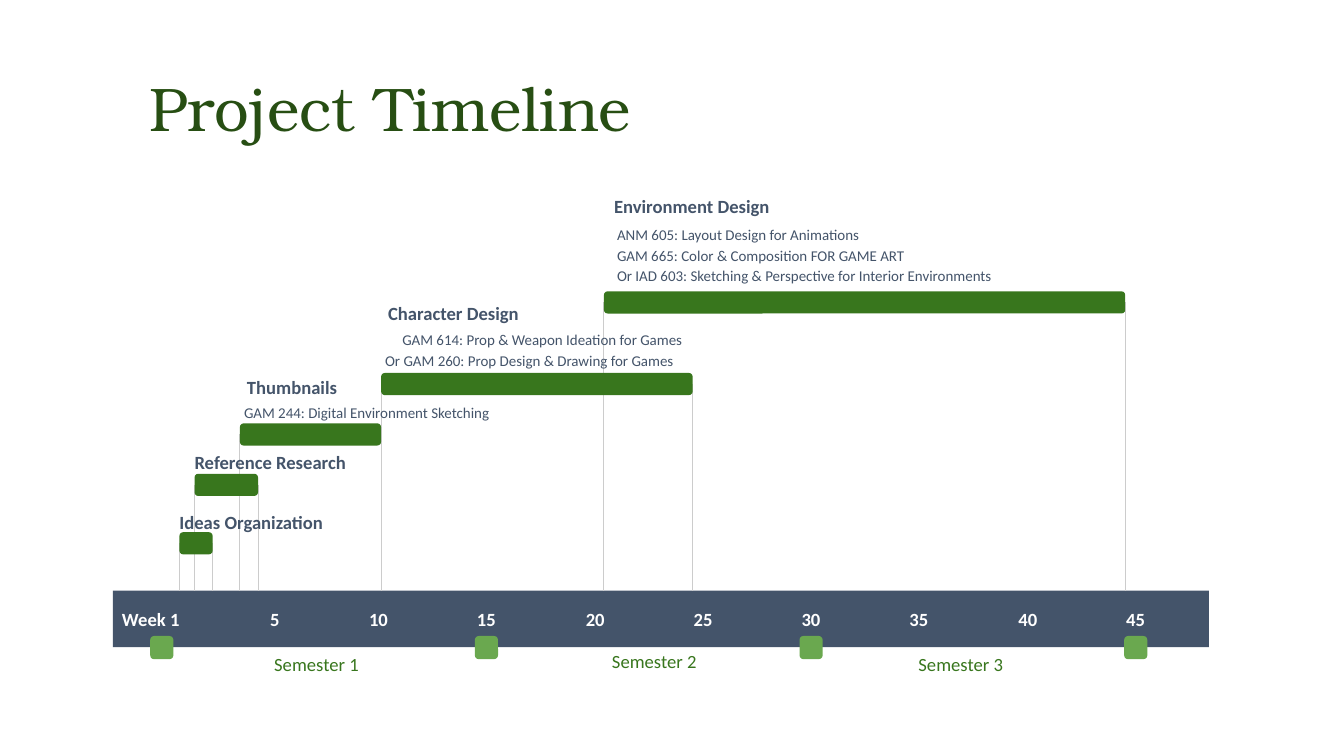
import pptx
import pptx.dml.color
import pptx.enum.shapes
import pptx.enum.text
import pptx.oxml.ns
import pptx.util
from lxml import etree

PX = 9144  # EMU per px, 100 px to the inch
NAVY, GREEN, LIGHT_GREEN, DARK_GREEN = "44546A", "38761D", "6AA84F", "274E13"
WHITE, GREY = "FFFFFF", "CCCCCC"
SHAPES = pptx.enum.shapes.MSO_SHAPE
ANCHOR = pptx.enum.text.MSO_ANCHOR
BAR_HEIGHT = 22
AXIS_BOX = (112, 586, 1087, 56)

# Bar left, top, width; heading text, left, top;
# course box (left, top, width, height) and its lines as (text, indent)
PHASES = [
    ((178, 528, 33), ("Ideas Organization", 178, 506), None, []),
    ((193, 470, 63), ("Reference Research", 193, 447), None, []),
    ((238, 420, 140), ("Thumbnails", 245, 373), (229, 392, 298, 32),
     [("GAM 244: Digital Environment Sketching", 0)]),
    ((378, 370, 309), ("Character Design", 385, 299), (369, 323, 437, 46),
     [("GAM 614: Prop & Weapon Ideation for Games", 17),
      ("Or GAM 260: Prop Design & Drawing for Games", 0)]),
    ((599, 289, 517), ("Environment Design", 609, 193), (599, 232, 437, 40),
     [("ANM 605: Layout Design for Animations", 0),
      ("GAM 665: Color & Composition FOR GAME ART", 0),
      ("Or IAD 603: Sketching & Perspective for Interior Environments", 0)]),
]


def px(*lengths):
    return [pptx.util.Emu(round(length) * PX) for length in lengths]


def color(hex_string):
    return pptx.dml.color.RGBColor.from_string(hex_string)


def add_text(slide, box, lines, size=13.3, fill=NAVY, bold=False, font="Calibri",
             inset=0, spacing=None, anchor=ANCHOR.MIDDLE):
    """Add a text box; lines is a list of (text, left indent) pairs."""
    frame = slide.shapes.add_textbox(*px(*box)).text_frame
    frame.word_wrap = True
    frame.vertical_anchor = anchor
    margin, = px(inset)
    frame.margin_left = frame.margin_right = margin
    frame.margin_top = frame.margin_bottom = margin
    for index, (text, indent) in enumerate(lines):
        paragraph = frame.add_paragraph() if index else frame.paragraphs[0]
        if spacing:
            paragraph.line_spacing = spacing
        if indent:
            paragraph._p.get_or_add_pPr().set("marL", str(indent * PX))
        run = paragraph.add_run()
        run.text = text
        run.font.name = font
        run.font.size = pptx.util.Pt(size)
        run.font.bold = bold
        run.font.color.rgb = color(fill)


def add_block(slide, kind, box, fill):
    shape = slide.shapes.add_shape(kind, *px(*box))
    shape.shadow.inherit = False
    shape.fill.solid()
    shape.fill.fore_color.rgb = color(fill)
    shape.line.fill.background()


def add_drop_line(slide, x, top, bottom):
    line = slide.shapes.add_connector(
        pptx.enum.shapes.MSO_CONNECTOR.STRAIGHT, *px(x, top, x, bottom))
    line.line.color.rgb = color(GREY)
    line.line.width = pptx.util.Pt(0.75)
    etree.SubElement(line._element.spPr, pptx.oxml.ns.qn("a:effectLst"))


def add_week_axis(slide, box):
    left, top, width, height = box
    add_block(slide, SHAPES.RECTANGLE, box, NAVY)
    ticks = [("Week 1", 9), ("5", 156)]
    ticks += [(str(week), 254 + (week - 10) * 21.46) for week in range(10, 50, 5)]
    for text, offset in ticks:
        add_text(slide, (left + offset, top + 17, 65, 23), [(text, 0)],
                 fill=WHITE, bold=True)


def add_semesters(slide, box):
    """Mark semester boundaries on the axis's lower edge and name the semesters."""
    left, top, width, height = box
    for index in range(4):
        add_block(slide, SHAPES.ROUNDED_RECTANGLE,
                  (left + 37 + index * 322, top + height - 11, 23, 23), LIGHT_GREEN)
    for number, (x, y) in enumerate([(147, 57), (482, 54), (786, 57)], 1):
        add_text(slide, (left + x, top + y, 134, 32), [(f"Semester {number}", 0)],
                 fill=GREEN, inset=13)


def add_phases(slide, axis_top):
    line_tops = {}
    for (left, top, width), *_ in PHASES:
        for x in (left, left + width):
            line_tops[x] = min(top + BAR_HEIGHT // 2, line_tops.get(x, axis_top))
    for x, top in line_tops.items():
        add_drop_line(slide, x, top, axis_top)
    for (left, top, width), heading, course_box, courses in PHASES:
        add_block(slide, SHAPES.ROUNDED_RECTANGLE,
                  (left, top, width, BAR_HEIGHT), GREEN)
        name, name_left, name_top = heading
        add_text(slide, (name_left, name_top, 183, 23), [(name, 0)], bold=True)
        if courses:
            add_text(slide, course_box, courses, size=10.7, inset=13, spacing=1.15)


def main():
    presentation = pptx.Presentation()
    presentation.slide_width, presentation.slide_height = px(1333, 750)
    slide = presentation.slides.add_slide(presentation.slide_layouts[6])
    add_text(slide, (135, 65, 1056, 84), [("Project Timeline", 0)], size=44,
             fill=DARK_GREEN, font="TeX Gyre Bonum", inset=13, spacing=0.9,
             anchor=ANCHOR.TOP)
    add_week_axis(slide, AXIS_BOX)
    add_phases(slide, AXIS_BOX[1])
    add_semesters(slide, AXIS_BOX)
    presentation.save("out.pptx")


if __name__ == "__main__":
    main()
